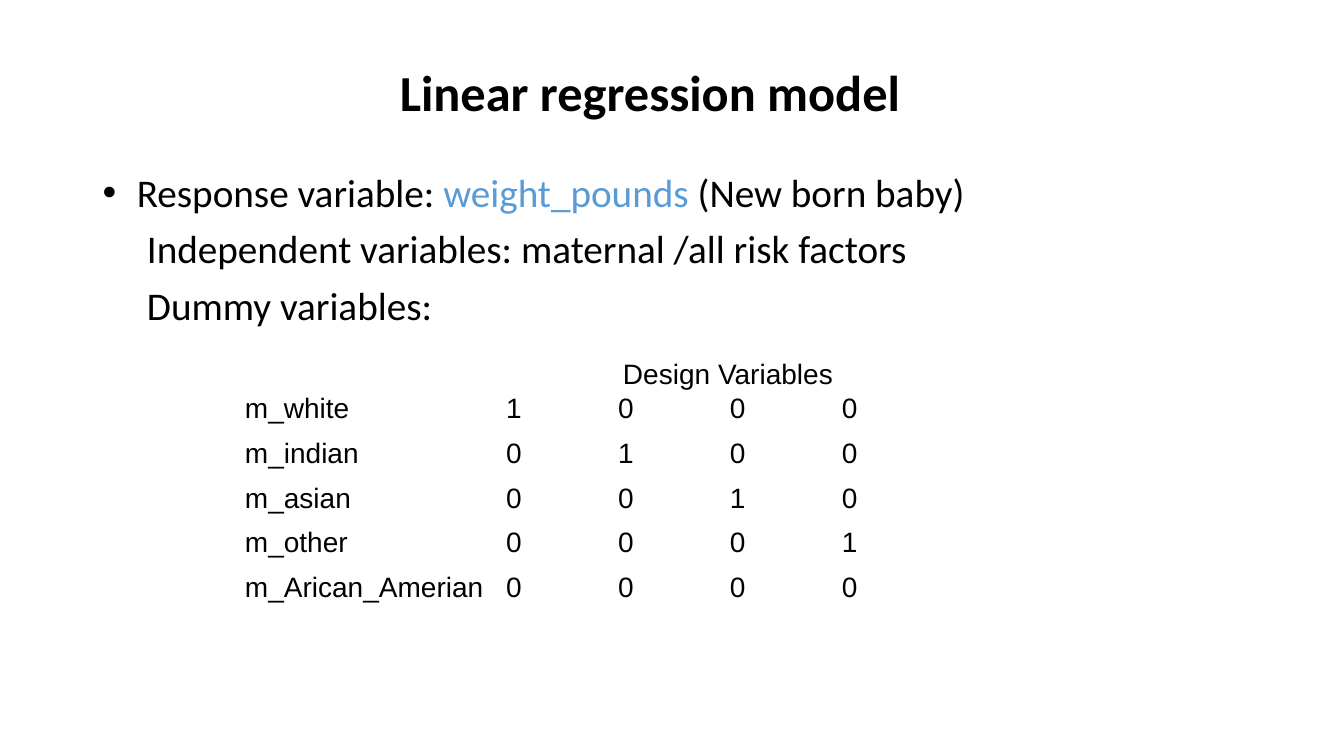
from lxml import etree
from pptx import Presentation
from pptx.dml.color import RGBColor as RGB
from pptx.enum.text import MSO_ANCHOR as ANCHOR, MSO_AUTO_SIZE as FIT, PP_ALIGN as ALIGN
from pptx.oxml.ns import qn
from pptx.util import Inches, Pt

COLORS = {"text": "000000", "accent": "5B9BD5"}
TITLE = {"name": "Calibri", "size": Pt(36), "bold": True}
BODY = {"name": "Calibri", "size": Pt(28)}
CELL = {"name": "Arial", "size": Pt(20)}
CELL_BOX = {"margin_left": Inches(0.01), "margin_right": Inches(0.01),
            "margin_top": Inches(0.01), "margin_bottom": 0,
            "vertical_anchor": ANCHOR.TOP}


def apply(target, values):
    for key, value in values.items():
        setattr(target, key, value)


class Deck:
    """Places elements on a grid of 100 columns by 100 rows."""

    def __init__(self):
        self.prs = Presentation()
        self.prs.slide_width, self.prs.slide_height = Inches(13.333), Inches(7.5)
        self.s = self.prs.slides.add_slide(self.prs.slide_layouts[5])

    def x(self, columns):
        return round(self.prs.slide_width * columns / 100)

    def y(self, rows):
        return round(self.prs.slide_height * rows / 100)

    def box(self, left, top, width, height):
        return self.x(left), self.y(top), self.x(width), self.y(height)

    def run(self, p, text, style, color="text"):
        r = p.add_run()
        r.text = text
        apply(r.font, style)
        r.font.color.rgb = RGB.from_string(COLORS[color])

    def title(self, text, *area):
        sp = self.s.shapes.title
        apply(sp, dict(zip(("left", "top", "width", "height"), self.box(*area))))
        tf = sp.text_frame
        apply(tf, {"auto_size": FIT.NONE, "vertical_anchor": ANCHOR.MIDDLE,
                   "word_wrap": True})
        p = tf.paragraphs[0]
        apply(p, {"alignment": ALIGN.LEFT, "line_spacing": 0.9})
        self.run(p, text, TITLE)

    def body(self, lines, *area):
        tf = self.s.shapes.add_textbox(*self.box(*area)).text_frame
        tf.word_wrap = True
        for i, (bullet, parts) in enumerate(lines):
            p = tf.add_paragraph() if i else tf.paragraphs[0]
            p_pr = p._p.get_or_add_pPr()
            p_pr.set("marL", str(Inches(0.34 if bullet else 0.44)))
            if bullet:
                p_pr.set("indent", str(-Inches(0.34)))
                font = etree.SubElement(p_pr, qn("a:buFont"))
                font.set("typeface", "Arial")
                etree.SubElement(p_pr, qn("a:buChar")).set("char", "•")
            apply(p, {"line_spacing": 0.9, "space_before": Pt(10 if i else 0)})
            for text, color in parts:
                self.run(p, text, BODY, color)

    def table(self, rows, left, top, widths, heights):
        area = self.box(left, top, sum(widths), sum(heights))
        table = self.s.shapes.add_table(len(rows), len(widths), *area).table
        apply(table, {"first_row": False, "horz_banding": False})
        for column, width in zip(table.columns, widths):
            column.width = self.x(width)
        for row, height, values in zip(table.rows, heights, rows):
            row.height = self.y(height)
            for cell, value in zip(row.cells, values):
                cell.fill.background()
                apply(cell, CELL_BOX)
                p = cell.text_frame.paragraphs[0]
                if value:
                    self.run(p, value, CELL)
                else:
                    apply(p.font, CELL)
        return table


def main():
    deck = Deck()
    deck.title("Linear regression model", 29, 2.8, 42, 19.5)

    # Variables of the model
    deck.body([
        (True, [("Response variable: ", "text"), ("weight_pounds ", "accent"),
                ("(New born baby)", "text")]),
        (False, [("Independent variables: maternal /all risk factors", "text")]),
        (False, [("Dummy variables:", "text")]),
    ], 6.9, 22.3, 86.2, 24)

    # Dummy coding: each group has its own indicator, the last one has none
    groups = ["m_white", "m_indian", "m_asian", "m_other", "m_Arican_Amerian"]
    count = len(groups) - 1
    coding = [[group] + [str(int(i == j)) for j in range(count)]
              for i, group in enumerate(groups)]
    header = ["", "Design Variables", "", "", ""]
    table = deck.table([header] + coding, 18.15, 47.33,
                       [19.43] + [8.33] * count, [3.87] + [5.92] * len(groups))
    heading = table.cell(0, 1)
    heading.merge(table.cell(0, 3))
    heading.margin_left = Inches(1.17)

    deck.prs.save("out.pptx")


if __name__ == "__main__":
    main()
